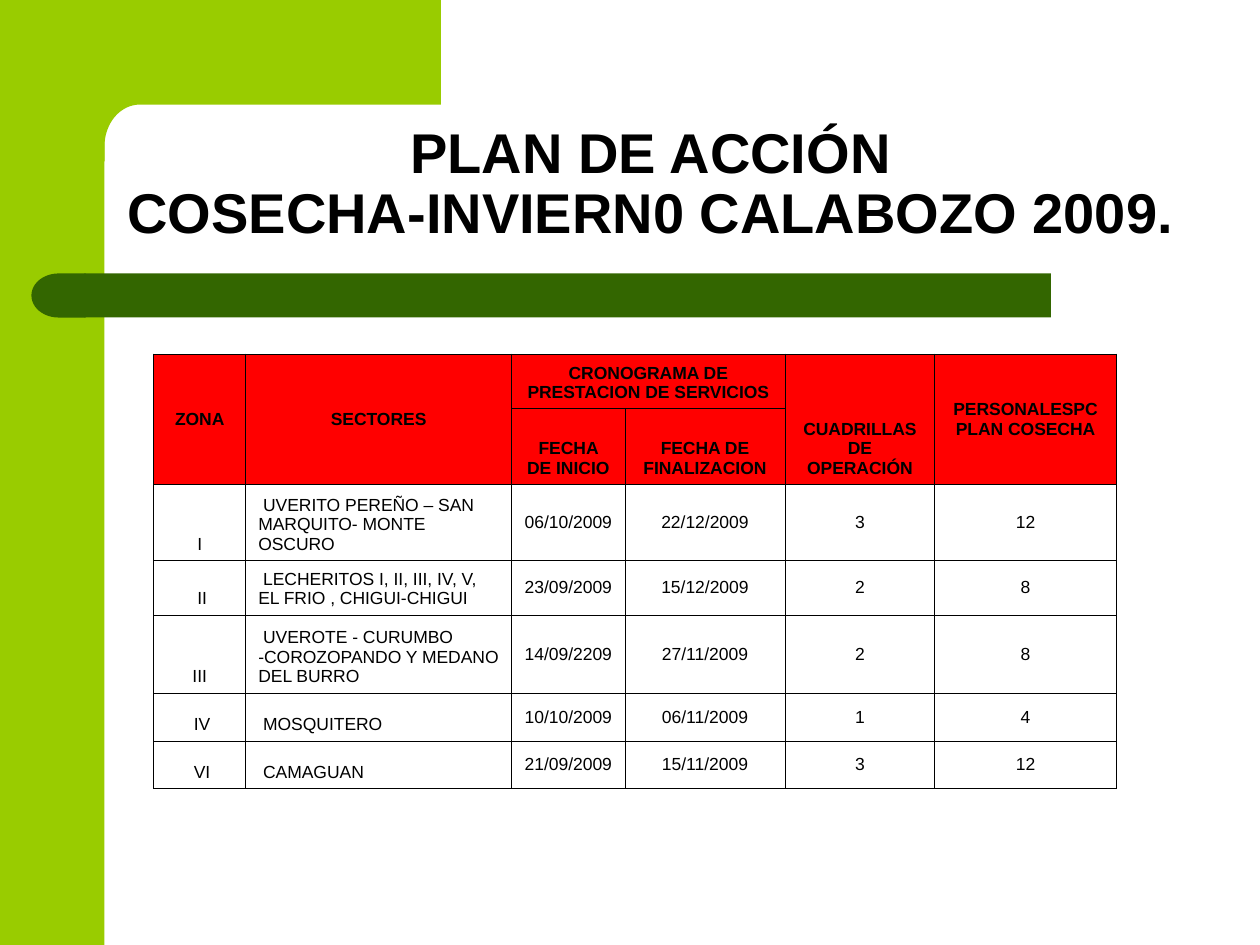
"""Build the harvest action plan slide with its schedule table."""
from math import cos, pi, sin

from lxml import etree
from pptx import Presentation
from pptx.dml.color import RGBColor
from pptx.enum.shapes import MSO_SHAPE
from pptx.enum.text import MSO_ANCHOR, PP_ALIGN
from pptx.oxml.ns import qn
from pptx.util import Inches, Pt

RECTANGLE, DELAY = MSO_SHAPE.RECTANGLE, MSO_SHAPE.FLOWCHART_DELAY
MIDDLE, BOTTOM = MSO_ANCHOR.MIDDLE, MSO_ANCHOR.BOTTOM
LEFT, CENTER = PP_ALIGN.LEFT, PP_ALIGN.CENTER

FONT = "Arial"
LIME, GREEN, RED, BLACK = "99CC00", "336600", "FF0000", "000000"
TITLE = "PLAN DE ACCIÓN\vCOSECHA-INVIERN0 CALABOZO 2009."
COLUMNS = [0.73, 2.11, 0.9, 1.27, 1.19, 1.44]
ROWS = [0.42, 0.57, 0.59, 0.42, 0.62, 0.38, 0.38]
HEADERS = [
    (0, 0, 1, 0, "ZONA", MIDDLE),
    (0, 1, 1, 1, "SECTORES", MIDDLE),
    (0, 2, 0, 3, "CRONOGRAMA DE PRESTACION DE SERVICIOS", BOTTOM),
    (1, 2, 1, 2, "FECHA DE INICIO", BOTTOM),
    (1, 3, 1, 3, "FECHA DE FINALIZACION", BOTTOM),
    (0, 4, 1, 4, "CUADRILLAS DE OPERACIÓN", BOTTOM),
    (0, 5, 1, 5, "PERSONALESPC PLAN COSECHA", MIDDLE),
]
ZONES = [
    ("I", " UVERITO PEREÑO – SAN MARQUITO- MONTE OSCURO", "06/10/2009", "22/12/2009", "3", "12"),
    (" II", " LECHERITOS I, II, III, IV, V, EL FRIO , CHIGUI-CHIGUI", "23/09/2009", "15/12/2009", "2", "8"),
    ("III", " UVEROTE - CURUMBO -COROZOPANDO Y MEDANO DEL BURRO", "14/09/2209", "27/11/2009", "2", "8"),
    (" IV", " MOSQUITERO", "10/10/2009", "06/11/2009", "1", "4"),
    (" VI", " CAMAGUAN", "21/09/2009", "15/11/2009", "3", "12"),
]


def color(value):
    return RGBColor.from_string(value)


def paint(shape, fill):
    shape.shadow.inherit = False
    shape.fill.solid()
    shape.fill.fore_color.rgb = color(fill)
    shape.line.fill.background()


def add_block(page, kind, place, fill):
    shape = page.shapes.add_shape(kind, *map(Inches, place))
    paint(shape, fill)
    return shape


def add_corner(page):
    center_x, center_y, radius_x, radius_y = 1.11, 1.16, 0.28, 0.33
    steps = 16
    angles = [pi / 2 * step / steps for step in range(steps + 1)]
    curve = [(center_x - radius_x * sin(a), center_y - radius_y * cos(a)) for a in angles]
    outline = [(3.5, 0), (3.5, 0.83), *curve, (0.83, 1.28), (0.5, 1.28), (0.5, 0)]
    points = [(Inches(x), Inches(y)) for x, y in outline]
    builder = page.shapes.build_freeform(*points[0])
    builder.add_line_segments(points[1:], close=True)
    paint(builder.convert_to_shape(), LIME)


def style_text(paragraph, size, bold, align):
    paragraph.alignment = align
    font = paragraph.font
    font.name, font.size, font.bold = FONT, Pt(size), bold
    font.color.rgb = color(BLACK)


def add_title(page):
    box = page.shapes.add_textbox(*map(Inches, (0.91, 0.91, 8.51, 1.09)))
    frame = box.text_frame
    frame.word_wrap = True
    frame.margin_left = frame.margin_right = Inches(0.05)
    frame.vertical_anchor = BOTTOM
    frame.text = TITLE
    frame.paragraphs[0].line_spacing = 0.9
    style_text(frame.paragraphs[0], 32, True, CENTER)


def add_borders(cell):
    properties = cell._tc.get_or_add_tcPr()
    for side in ("a:lnL", "a:lnR", "a:lnT", "a:lnB"):
        line = etree.SubElement(properties, qn(side), w=str(Pt(0.45)))
        fill = etree.SubElement(line, qn("a:solidFill"))
        etree.SubElement(fill, qn("a:srgbClr"), val=BLACK)


def fill_cell(cell, text, anchor, align=CENTER, bold=False):
    cell.text = text
    cell.vertical_anchor = anchor
    style_text(cell.text_frame.paragraphs[0], 10, bold, align)


def add_schedule(page):
    place = (1.22, 2.81, sum(COLUMNS), sum(ROWS))
    table = page.shapes.add_table(len(ROWS), len(COLUMNS), *map(Inches, place)).table
    table.first_row = table.horz_banding = False
    for column, width in zip(table.columns, COLUMNS):
        column.width = Inches(width)
    for index, (row, height) in enumerate(zip(table.rows, ROWS)):
        row.height = Inches(height)
        for cell in row.cells:
            add_borders(cell)
            if index < 2:
                cell.fill.solid()
                cell.fill.fore_color.rgb = color(RED)
            else:
                cell.fill.background()
    for top, left, bottom, right, text, anchor in HEADERS:
        cell = table.cell(top, left)
        if (top, left) != (bottom, right):
            cell.merge(table.cell(bottom, right))
        fill_cell(cell, text, anchor, bold=True)
    for row, zone in enumerate(ZONES, 2):
        for column, text in enumerate(zone):
            anchor = BOTTOM if column < 2 else MIDDLE
            fill_cell(table.cell(row, column), text, anchor, LEFT if column == 1 else CENTER)


def main():
    deck = Presentation()
    deck.slide_width, deck.slide_height = Inches(10), Inches(7.5)
    page = deck.slides.add_slide(deck.slide_layouts[6])
    add_block(page, RECTANGLE, (0, 0, 0.83, 7.5), LIME)
    add_corner(page)
    add_block(page, RECTANGLE, (0.67, 2.17, 7.67, 0.35), GREEN)
    bar_end = add_block(page, DELAY, (0.25, 2.17, 0.43, 0.35), GREEN)
    bar_end._element.spPr.find(qn("a:xfrm")).set("flipH", "1")
    add_title(page)
    add_schedule(page)
    deck.save("out.pptx")


if __name__ == "__main__":
    main()
